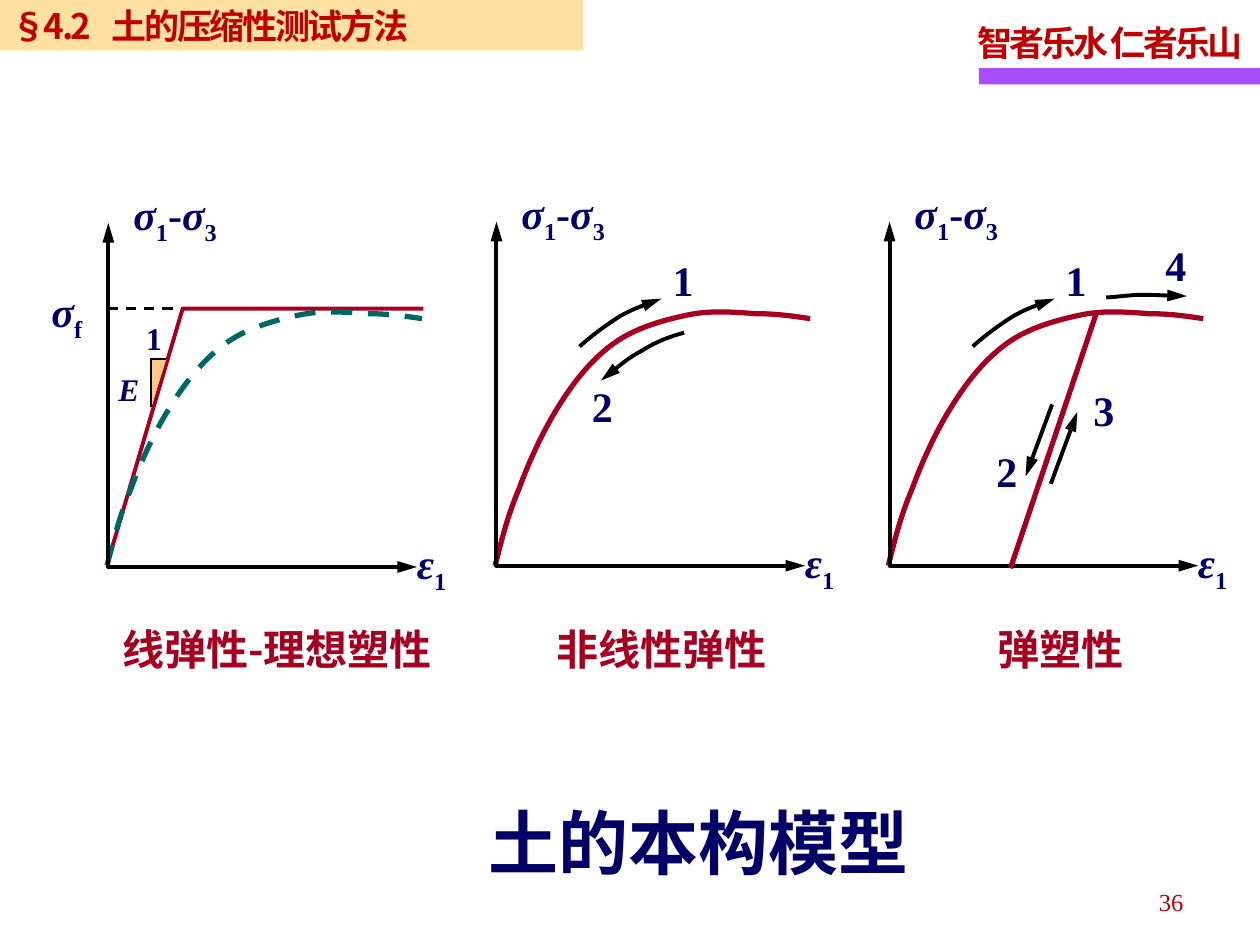
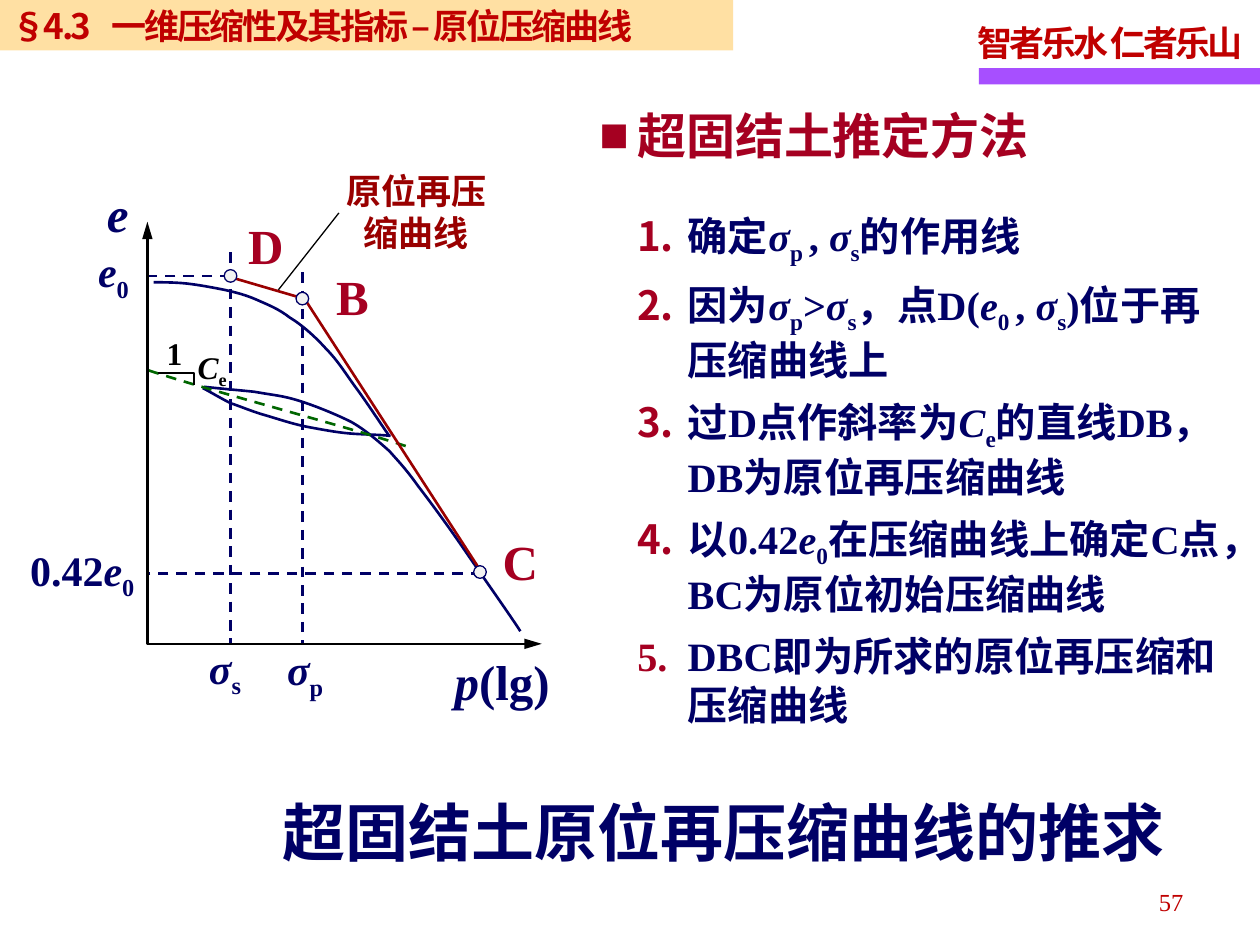
from lxml import etree
from pptx import Presentation
from pptx import util as u
from pptx.dml.color import RGBColor
from pptx.enum import dml, shapes, text
from pptx.oxml.ns import qn

SERIF, SANS = "Times New Roman", "Noto Sans CJK SC"
NAVY, CRIMSON, BLACK = "000066", "A50021", "000000"
RED, DARK_RED, TEAL, GREEN = "C00000", "990000", "006666", "006600"
PURPLE, SAND, PEACH, PALE = "A74FFF", "FFCC66", "FFC58B", "F2F2F2"
LEFT, CENTER, RIGHT = text.PP_ALIGN.LEFT, text.PP_ALIGN.CENTER, text.PP_ALIGN.RIGHT
DEVIATOR, STRAIN = "~σ|_1|-|~σ|_3", "~ε|_1"


def color(value):
    return RGBColor.from_string(value)


def add_tag(parent, name, **attributes):
    return etree.SubElement(parent, qn(name), **attributes)


def inches(values):
    return [u.Inches(value) for value in values]


class Sketch:
    """Holds the deck and the slide being drawn."""

    def __init__(self):
        self.deck = Presentation()
        self.deck.slide_width, self.deck.slide_height = inches((10, 7.5))
        self.page = None

    def new_page(self, number, section, band_width):
        self.page = self.deck.slides.add_slide(self.deck.slide_layouts[6])
        self.shape("RECTANGLE", (7.77, 0.54, 2.23, 0.13), PURPLE)
        motto = self.text((7.66, 0.07, 2.36, 0.49), "智者乐水 仁者乐山", 20, RED,
                          wrap=False, tracking=-170)
        band = self.shape("RECTANGLE", (-0.01, 0, band_width, 0.4), SAND)
        add_tag(band._element.spPr.find(".//" + qn("a:srgbClr")), "a:alpha", val="60000")
        para = band.text_frame.paragraphs[0]
        para.alignment = LEFT
        tabs = add_tag(para._p.get_or_add_pPr(), "a:tabLst")
        add_tag(tabs, "a:tab", pos=str(u.Inches(0.8)), algn="l")
        self.rich(para, section, 20, RED, SANS, tracking=-140)
        folio = self.text((7.16, 6.96, 2.33, 0.4), number, 14, RED, bold=False, align=RIGHT)
        for box in (motto, folio):
            box.text_frame.paragraphs[0].line_spacing = 1.15

    def rich(self, para, markup, size, ink, font=SERIF, bold=True, tracking=None):
        """Write runs parted by |, where ~ marks italic and _ marks subscript."""
        for piece in markup.split("|"):
            span = para.add_run()
            span.text = piece.lstrip("~_")
            span.font.size, span.font.bold = u.Pt(size), bold
            span.font.italic = piece.startswith("~")
            span.font.color.rgb = color(ink)
            span.font.name = font
            properties = span._r.get_or_add_rPr()
            add_tag(properties, "a:ea", typeface=SANS)
            if piece.startswith("_"):
                properties.set("baseline", "-25000")
            if tracking:
                properties.set("spc", str(tracking))

    def text(self, at, markup, size, ink=NAVY, font=SERIF, bold=True, align=LEFT,
             wrap=True, inset=True, tracking=None):
        box = self.page.shapes.add_textbox(*inches(at))
        frame = box.text_frame
        frame.word_wrap = wrap
        if not wrap:
            frame.auto_size = text.MSO_AUTO_SIZE.SHAPE_TO_FIT_TEXT
        if not inset:
            frame.margin_left = frame.margin_right = frame.margin_top = frame.margin_bottom = 0
        para = frame.paragraphs[0]
        para.alignment = align
        self.rich(para, markup, size, ink, font, bold, tracking)
        return box

    def label(self, left, top, width, markup, size=24, ink=NAVY):
        self.text((left, top, width, 0.57 if size == 28 else 0.5), markup, size, ink, wrap=False)

    def bullet(self, para, indent, kind, **attributes):
        properties = para._p.get_or_add_pPr()
        properties.set("marL", str(u.Inches(indent)))
        properties.set("indent", str(-u.Inches(indent)))
        add_tag(add_tag(properties, "a:buClr"), "a:srgbClr", val=CRIMSON)
        if kind == "a:buChar":
            add_tag(properties, "a:buFont", typeface=SERIF)
        add_tag(properties, kind, **attributes)

    def numbered(self, at, items, size):
        frame = self.page.shapes.add_textbox(*inches(at)).text_frame
        frame.word_wrap = True
        for index, item in enumerate(items):
            para = frame.add_paragraph() if index else frame.paragraphs[0]
            if index:
                para.space_before = u.Pt(8)
            self.bullet(para, 0.4, "a:buAutoNum", type="arabicPeriod")
            self.rich(para, item, size, NAVY)

    def shape(self, preset, at, fill, ink=None):
        item = self.page.shapes.add_shape(shapes.MSO_SHAPE[preset], *inches(at))
        item.shadow.inherit = False
        item.fill.solid()
        item.fill.fore_color.rgb = color(fill)
        if ink:
            self.stroke(item, ink, 0.75)
        else:
            item.line.fill.background()
        return item

    def stroke(self, item, ink, width, dash=False, ends=""):
        item.line.color.rgb = color(ink)
        item.line.width = u.Pt(width)
        if dash:
            item.line.dash_style = dml.MSO_LINE.DASH
        outline = item._element.spPr.find(qn("a:ln"))
        for end in ("head", "tail"):
            if end in ends:
                add_tag(outline, f"a:{end}End", type="triangle", w="med", len="lg")

    def line(self, start, end, ink, width=1.5, dash=False, ends=""):
        item = self.page.shapes.add_connector(
            shapes.MSO_CONNECTOR.STRAIGHT, *inches(start + end))
        self.stroke(item, ink, width, dash, ends)
        add_tag(item._element.spPr, "a:effectLst")

    def outline(self, points, ink, width, dash=False, ends="", fill=None):
        start, *others = [inches(point) for point in points]
        builder = self.page.shapes.build_freeform(*start)
        builder.add_line_segments(others, close=False)
        item = builder.convert_to_shape()
        if fill:
            item.fill.solid()
            item.fill.fore_color.rgb = color(fill)
        else:
            item.fill.background()
        self.stroke(item, ink, width, dash, ends)
        item.shadow.inherit = False
        return item

    def curve(self, points, ink, width, **style):
        """Turn every three points after the first into one cubic segment."""
        item = self.outline(points, ink, width, **style)
        segments = list(item._element.iter(qn("a:lnTo")))
        outline = segments[0].getparent()
        for index, segment in enumerate(segments):
            if index % 3 == 0:
                cubic = add_tag(outline, "a:cubicBezTo")
            cubic.append(segment[0])
            outline.remove(segment)

    def axes(self, left, top, bottom, right, width):
        self.outline([(left, top), (left, bottom), (right, bottom)], BLACK, width,
                     ends="head tail")

    def node(self, x, y):
        self.shape("OVAL", (x - 0.05, y - 0.05, 0.1, 0.1), PALE, NAVY)


STRESS_CURVE = [
    (0, 0), (0.05, -0.2), (0.1, -0.4), (0.19, -0.61), (0.27, -0.83), (0.39, -1.09),
    (0.52, -1.29), (0.64, -1.48), (0.78, -1.65), (0.95, -1.77), (1.12, -1.89),
    (1.34, -1.95), (1.53, -1.99), (1.72, -2.03), (1.91, -2.01), (2.07, -2),
    (2.23, -2), (2.37, -1.98), (2.5, -1.96)]
LOADING = [(0.66, -1.74), (0.76, -1.83), (0.87, -1.91), (0.98, -1.98),
           (1.09, -2.04), (1.2, -2.08), (1.31, -2.12)]
UNLOADING = [(0.83, -1.47), (0.94, -1.56), (1.05, -1.65), (1.16, -1.71),
             (1.27, -1.78), (1.38, -1.82), (1.49, -1.85)]
FLOW = [(2.36, -2.14), (2.3, -2.14), (2.11, -2.15), (2, -2.15),
        (1.9, -2.15), (1.78, -2.13), (1.72, -2.13)]


def shifted(points, left, base=4.49):
    return [(left + x, base + y) for x, y in points]


def stress_plot(sketch, left, base=4.49, ink=CRIMSON, dash=False):
    sketch.curve(shifted(STRESS_CURVE, left - 0.01, 4.49), ink, 3, dash=dash)
    sketch.axes(left, base - 2.73, base, left + 2.45, 2.25)
    sketch.label(left + 0.1, base - 3.05, 0.94, DEVIATOR)
    sketch.label(left + 2.35, base - 0.28, 0.46, STRAIN)


def draw_models(sketch):
    sketch.new_page("36", "§4.2\t土的压缩性测试方法", 4.64)
    sketch.text((3.78, 6.3, 4.24, 0.77), "土的本构模型", 40, font=SANS)
    linear, nonlinear, plastic = 0.86, 3.94, 7.06

    sketch.outline([(0.85, 4.48), (1.45, 2.45), (3.36, 2.45)], CRIMSON, 2.25)
    sketch.line((0.85, 2.45), (1.44, 2.45), BLACK, dash=True)
    stress_plot(sketch, linear, 4.5, TEAL, dash=True)
    sketch.label(0.31, 2.22, 0.48, "~σ|_f")
    sketch.text((1.16, 2.53, 0.13, 0.3), "1", 18, wrap=False, inset=False)
    sketch.text((0.94, 2.94, 0.17, 0.3), "~E", 18, wrap=False, inset=False)
    sketch.outline([(1.2, 3.23), (1.2, 2.85), (1.32, 2.85)], BLACK, 1, fill=PEACH)

    for left in (nonlinear, plastic):
        stress_plot(sketch, left)
        sketch.curve(shifted(LOADING, left), BLACK, 2.25, ends="tail")
        sketch.label(left + 1.3, 1.97, 0.37, "1")
    sketch.curve(shifted(UNLOADING, nonlinear), BLACK, 2.25, ends="head")
    sketch.curve(shifted(FLOW, plastic), BLACK, 2.25, ends="head")
    sketch.line((8.7, 2.49), (8.02, 4.51), CRIMSON, 3)
    sketch.line((8.35, 3.21), (8.14, 3.78), BLACK, 2.25, ends="tail")
    sketch.line((8.34, 3.84), (8.55, 3.27), BLACK, 2.25, ends="tail")
    for left, top, step in ((4.6, 2.97, "2"), (7.81, 3.49, "2"), (8.58, 3, "3"), (9.15, 1.85, "4")):
        sketch.label(left, top, 0.37, step)

    for left, width, name in ((0.87, 2.81, "线弹性-理想塑性"), (4.32, 1.94, "非线性弹性"),
                              (7.82, 1.25, "弹塑性")):
        sketch.text((left, 4.9, width, 0.5), name, 24, CRIMSON, SANS)


COMPRESSION = [
    (3.09, 3.46), (3.04, 3.39), (2.91, 3.19), (2.82, 3.07), (2.74, 2.96), (2.68, 2.86),
    (2.59, 2.77), (2.51, 2.68), (2.4, 2.58), (2.3, 2.52), (2.21, 2.45), (2.13, 2.42),
    (2.04, 2.38), (1.95, 2.34), (1.87, 2.32), (1.78, 2.3), (1.68, 2.28), (1.57, 2.26),
    (1.48, 2.25), (1.39, 2.24), (1.27, 2.24), (1.22, 2.24)]
REBOUND = [
    (3.1, 3.46), (3.04, 3.45), (2.88, 3.45), (2.77, 3.44), (2.66, 3.43), (2.56, 3.41),
    (2.45, 3.39), (2.34, 3.37), (2.22, 3.33), (2.12, 3.3), (2.01, 3.27), (1.92, 3.23),
    (1.83, 3.2), (1.75, 3.16), (1.65, 3.1), (1.61, 3.08)]
RECOMPRESSION = [
    (4.13, 5.01), (4.06, 4.9), (3.82, 4.56), (3.69, 4.37), (3.56, 4.18), (3.42, 3.99),
    (3.32, 3.86), (3.22, 3.72), (3.17, 3.67), (3.09, 3.58), (3, 3.5), (2.91, 3.42),
    (2.79, 3.35), (2.67, 3.29), (2.5, 3.22), (2.37, 3.18), (2.24, 3.14), (2.19, 3.14),
    (2.02, 3.11), (1.93, 3.1), (1.7, 3.08), (1.62, 3.07)]
REBOUND_SLOPE = [(1.18, 2.94), (1.76, 3.13), (2.63, 3.35), (3.22, 3.54)]
STEPS = [
    "确定|~σ|_p |, |~σ|_s|的作用线",
    "因为|~σ|_p|>|~σ|_s|，点D(|~e|_0 |, |~σ|_s|)位于再压缩曲线上",
    "过D点作斜率为|~C|_e|的直线DB，DB为原位再压缩曲线",
    "以0.42|~e|_0|在压缩曲线上确定C点，BC为原位初始压缩曲线",
    "DBC即为所求的原位再压缩和压缩曲线"]


def draw_field_curve(sketch):
    sketch.new_page("57", "§4.3\t一维压缩性及其指标 – 原位压缩曲线", 5.83)
    sketch.text((1.92, 6.25, 7.65, 0.7), "超固结土原位再压缩曲线的推求", 36, align=CENTER)
    heading = sketch.text((4.66, 0.79, 4.64, 0.57), "超固结土推定方法", 28, CRIMSON, SANS)
    sketch.bullet(heading.text_frame.paragraphs[0], 0.3, "a:buChar", char="■")
    sketch.numbered((4.96, 1.63, 4.84, 4.13), STEPS, 23)

    for x, top in ((1.83, 2), (2.4, 2.16)):
        sketch.line((x, top), (x, 5.11), NAVY, dash=True)
    for x, y in ((1.83, 2.19), (3.82, 4.55)):
        sketch.line((x, y), (1.18, y), NAVY, dash=True)
    for points in (COMPRESSION, REBOUND, RECOMPRESSION):
        sketch.curve(points, NAVY, 1.5)
    sketch.curve(REBOUND_SLOPE, GREEN, 1.5, dash=True)
    sketch.line((2.41, 2.36), (3.84, 4.57), DARK_RED)
    sketch.line((1.83, 2.2), (2.41, 2.37), DARK_RED)
    sketch.axes(1.17, 1.76, 5.11, 4.3, 1.5)
    for x, y in ((1.83, 2.19), (2.4, 2.37), (3.81, 4.54)):
        sketch.node(x, y)

    sketch.text((2.58, 1.3, 1.45, 0.77), "原位再压缩曲线", 20, DARK_RED, align=CENTER)
    sketch.line((2.21, 2.3), (2.69, 1.69), BLACK, 0.75)
    for left, top, name in ((1.87, 1.66, "D"), (2.57, 2.07, "B"), (3.89, 4.17, "C")):
        sketch.label(left, top, 0.49, name, 28, CRIMSON)
    sketch.label(0.75, 1.41, 0.38, "~e", 28)
    sketch.label(3.51, 5.12, 0.99, "~p|(lg)", 28)
    sketch.label(0.68, 1.9, 0.46, "~e|_0")
    sketch.label(0.14, 4.27, 1.05, "0.42|~e|_0")
    sketch.label(1.56, 5.05, 0.49, "~σ|_s")
    sketch.label(2.18, 5.06, 0.53, "~σ|_p")
    sketch.text((1.47, 2.71, 0.67, 0.4), "~C|_e", 18, BLACK)
    sketch.text((1.22, 2.6, 0.33, 0.4), "1", 18, BLACK, align=CENTER, wrap=False)
    sketch.outline([(1.25, 2.96), (1.54, 2.96), (1.54, 3.06)], BLACK, 0.75)


def main():
    sketch = Sketch()
    draw_models(sketch)
    draw_field_curve(sketch)
    sketch.deck.save("out.pptx")


if __name__ == "__main__":
    main()
